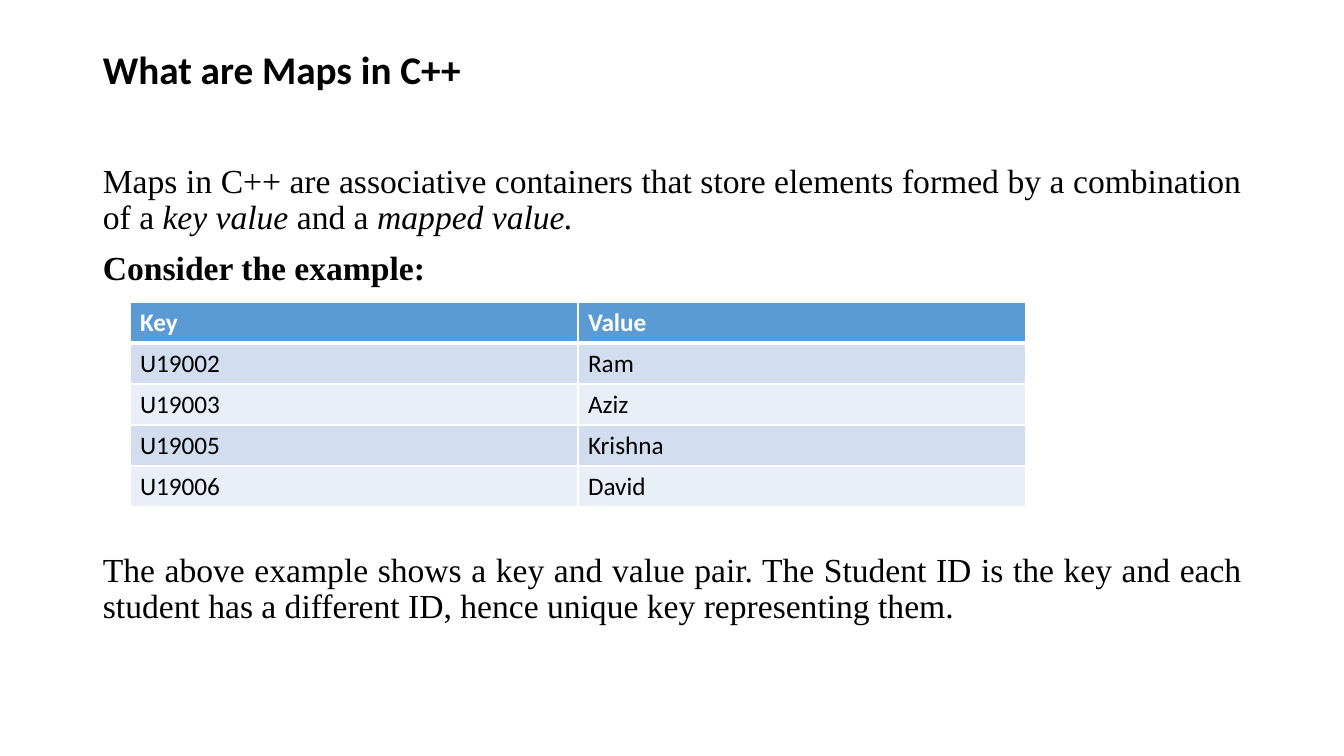
"""Build the slide that introduces maps in C++ with a key and value table."""
from dataclasses import dataclass

from lxml.etree import SubElement
from pptx import Presentation
from pptx.dml.color import RGBColor
from pptx.enum.text import PP_ALIGN
from pptx.oxml.ns import qn
from pptx.slide import Slide
from pptx.table import _Cell
from pptx.text.text import _Paragraph
from pptx.util import Emu, Pt


@dataclass(frozen=True)
class Theme:
    heading_font: str = "Calibri"
    body_font: str = "Times New Roman"
    title_size: int = 28
    body_size: int = 24
    table_size: int = 18
    text: str = "000000"
    header_text: str = "FFFFFF"
    header_fill: str = "5B9BD5"
    band_fills: tuple[str, str] = ("D2DEEF", "EAEFF7")
    border: str = "FFFFFF"
    border_width: int = 1
    header_rule_width: int = 3


@dataclass(frozen=True)
class Box:
    left: int
    top: int
    width: int
    height: int

    def emu(self) -> tuple[Emu, Emu, Emu, Emu]:
        return pixels(self.left), pixels(self.top), pixels(self.width), pixels(self.height)


@dataclass(frozen=True)
class TextRun:
    text: str
    font: str
    size: int
    color: str
    bold: bool = False
    italic: bool = False


@dataclass(frozen=True)
class TextBlock:
    runs: tuple[TextRun, ...]
    space_before: int = 10
    alignment: PP_ALIGN = PP_ALIGN.JUSTIFY


THEME = Theme()
EMU_PER_PIXEL = 914400 / 100.8
SLIDE_WIDTH, SLIDE_HEIGHT = 1344, 756
BODY_BOX = Box(93, 46, 1159, 634)
TABLE_BOX = Box(130, 302, 896, 205)
ROWS = (
    ("Key", "Value"),
    ("U19002", "Ram"),
    ("U19003", "Aziz"),
    ("U19005", "Krishna"),
    ("U19006", "David"),
)


def pixels(length: int) -> Emu:
    return Emu(round(length * EMU_PER_PIXEL))


def body_run(text: str, bold: bool = False, italic: bool = False) -> TextRun:
    return TextRun(text, THEME.body_font, THEME.body_size, THEME.text, bold, italic)


BLOCKS = (
    TextBlock(
        (TextRun("What are Maps in C++", THEME.heading_font, THEME.title_size, THEME.text, bold=True),),
        alignment=PP_ALIGN.LEFT,
    ),
    TextBlock(
        (
            body_run(
                "Maps in C++ are associative containers that store elements "
                "formed by a combination of a\u00a0"
            ),
            body_run("key value", italic=True),
            body_run("\u00a0and a\u00a0"),
            body_run("mapped value.", italic=True),
        ),
        space_before=51,
    ),
    TextBlock((body_run("Consider the example:", bold=True),)),
    TextBlock(
        (
            body_run(
                "The above example shows a key and value pair. The Student ID is the key "
                "and each student has a different ID, hence unique key representing them."
            ),
        ),
        space_before=190,
    ),
)


def add_run(paragraph: _Paragraph, text_run: TextRun) -> None:
    run = paragraph.add_run()
    run.text = text_run.text
    run.font.name = text_run.font
    run.font.size = Pt(text_run.size)
    run.font.bold = text_run.bold
    run.font.italic = text_run.italic
    run.font.color.rgb = RGBColor.from_string(text_run.color)


def add_body(slide: Slide, box: Box, blocks: tuple[TextBlock, ...]) -> None:
    frame = slide.shapes.add_textbox(*box.emu()).text_frame
    frame.word_wrap = True
    for index, block in enumerate(blocks):
        paragraph = frame.add_paragraph() if index else frame.paragraphs[0]
        paragraph.alignment = block.alignment
        paragraph.line_spacing = 0.9
        paragraph.space_before = Pt(block.space_before)
        for text_run in block.runs:
            add_run(paragraph, text_run)


def set_borders(cell: _Cell, top: int, bottom: int) -> None:
    properties = cell._tc.get_or_add_tcPr()
    side = THEME.border_width
    widths = {"a:lnL": side, "a:lnR": side, "a:lnT": top, "a:lnB": bottom}
    for tag, width in widths.items():
        line = SubElement(properties, qn(tag), w=str(Pt(width)))
        fill = SubElement(line, qn("a:solidFill"))
        SubElement(fill, qn("a:srgbClr"), val=THEME.border)


def add_key_value_table(slide: Slide, box: Box, rows: tuple[tuple[str, ...], ...]) -> None:
    table = slide.shapes.add_table(len(rows), len(rows[0]), *box.emu()).table
    for column in table.columns:
        column.width = pixels(box.width // len(rows[0]))
    for row_index, values in enumerate(rows):
        table.rows[row_index].height = pixels(box.height // len(rows))
        header = row_index == 0
        fill = THEME.header_fill if header else THEME.band_fills[(row_index - 1) % 2]
        color = THEME.header_text if header else THEME.text
        top = THEME.header_rule_width if row_index == 1 else THEME.border_width
        bottom = THEME.header_rule_width if header else THEME.border_width
        for column_index, value in enumerate(values):
            cell = table.cell(row_index, column_index)
            set_borders(cell, top, bottom)
            cell.fill.solid()
            cell.fill.fore_color.rgb = RGBColor.from_string(fill)
            add_run(
                cell.text_frame.paragraphs[0],
                TextRun(value, THEME.heading_font, THEME.table_size, color, bold=header),
            )


def main() -> None:
    presentation = Presentation()
    presentation.slide_width = pixels(SLIDE_WIDTH)
    presentation.slide_height = pixels(SLIDE_HEIGHT)
    slide = presentation.slides.add_slide(presentation.slide_layouts[6])
    add_body(slide, BODY_BOX, BLOCKS)
    add_key_value_table(slide, TABLE_BOX, ROWS)
    presentation.save("out.pptx")


main()
